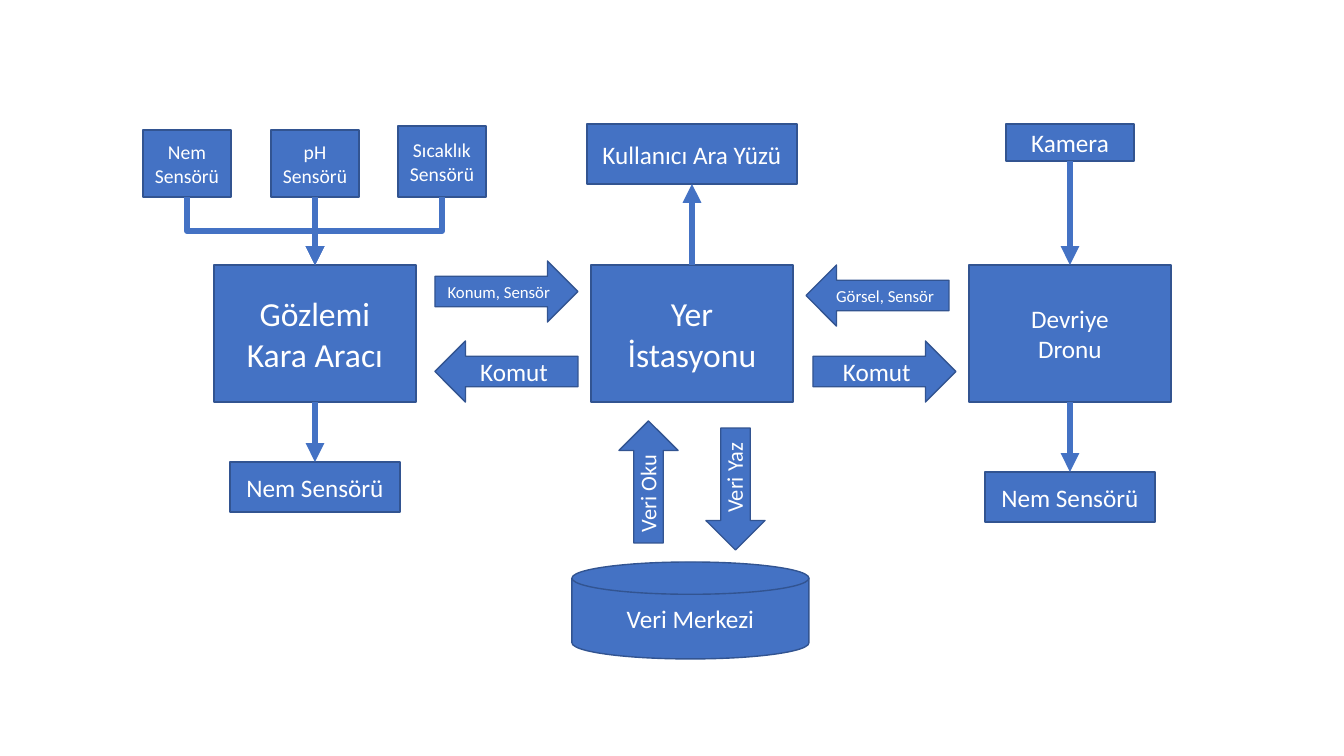
from lxml.etree import SubElement
from pptx import Presentation
from pptx.dml.color import RGBColor
from pptx.enum.shapes import MSO_CONNECTOR, MSO_SHAPE
from pptx.enum.text import MSO_ANCHOR, PP_ALIGN
from pptx.oxml.ns import qn
from pptx.util import Pt

PX = 914400 / 100.8
SLIDE = (1344, 756)
COLORS = {"fill": "4472C4", "outline": "325491", "text": "FFFFFF"}
FONT = "Calibri"
TOP, LEFT, BOTTOM, RIGHT = range(4)

BOXES = {
    "station": ("Yer\nİstasyonu", 24, (591, 265, 202, 137)),
    "rover": ("Gözlemi\nKara Aracı", 24, (214, 265, 202, 137)),
    "drone": ("Devriye\nDronu", 18, (969, 265, 202, 137)),
    "rover_moisture": ("Nem Sensörü", 18, (230, 462, 170, 50)),
    "camera": ("Kamera", 18, (1006, 124, 128, 37)),
    "drone_moisture": ("Nem Sensörü", 18, (985, 472, 170, 50)),
    "ph": ("pH Sensörü", 14, (271, 130, 88, 67)),
    "moisture": ("Nem Sensörü", 14, (143, 130, 88, 67)),
    "temperature": ("Sıcaklık Sensörü", 14, (398, 126, 88, 71)),
    "interface": ("Kullanıcı Ara Yüzü", 18, (587, 124, 210, 60)),
}
STRAIGHT_LINKS = [
    ("ph", BOTTOM, "rover", TOP),
    ("station", TOP, "interface", BOTTOM),
    ("camera", BOTTOM, "drone", TOP),
    ("drone", BOTTOM, "drone_moisture", TOP),
    ("rover", BOTTOM, "rover_moisture", TOP),
]
ELBOW_LINKS = [("moisture", "rover"), ("temperature", "rover")]
BLOCKS = [
    (MSO_SHAPE.RIGHT_ARROW, "Konum, Sensör", 12, (435, 261, 143, 61), 0),
    (MSO_SHAPE.LEFT_ARROW, "Komut", 18, (435, 341, 143, 61), 0),
    (MSO_SHAPE.LEFT_ARROW, "Görsel, Sensör", 12, (806, 265, 143, 61), 0),
    (MSO_SHAPE.RIGHT_ARROW, "Komut", 18, (813, 341, 143, 61), 0),
    (MSO_SHAPE.FLOWCHART_MAGNETIC_DISK, "Veri Merkezi", 18, (572, 562, 237, 97), 0),
    (MSO_SHAPE.UP_ARROW, "", 16, (619, 421, 59, 122), 0),
    (MSO_SHAPE.UP_ARROW, "", 16, (706, 428, 59, 122), 180),
]
LABELS = [
    ("Veri Oku", 16, (595, 471, 105, 37)),
    ("Veri Yaz", 16, (685, 455, 98, 37)),
]


def emu(*lengths):
    return [round(length * PX) for length in lengths]


def color(name):
    return RGBColor.from_string(COLORS[name])


def write(shape, text, size, align):
    frame = shape.text_frame
    frame.word_wrap = True
    frame.text = text
    for para in frame.paragraphs:
        para.alignment = align
        for span in para.runs:
            for key, value in {"name": FONT, "size": Pt(size)}.items():
                setattr(span.font, key, value)
            span.font.color.rgb = color("text")


def add_block(page, kind, text, size, bounds, rotation=0):
    shape = page.shapes.add_shape(kind, *emu(*bounds))
    shape.rotation = rotation
    shape.shadow.inherit = False
    shape.fill.solid()
    shape.fill.fore_color.rgb = color("fill")
    shape.line.color.rgb = color("outline")
    shape.line.width = Pt(1)
    if text:
        write(shape, text, size, PP_ALIGN.CENTER)
        shape.text_frame.vertical_anchor = MSO_ANCHOR.MIDDLE
    return shape


def add_link(page, kind, ends):
    link = page.shapes.add_connector(kind, *emu(*ends))
    link.line.color.rgb = color("fill")
    link.line.width = Pt(4.5)
    SubElement(link.line._get_or_add_ln(), qn("a:tailEnd"), type="triangle")
    SubElement(link.element.spPr, qn("a:effectLst"))
    return link


def add_elbow(page, start, end):
    left, top, width, height = BOXES[start][2]
    start_x, start_y = left + width / 2, top + height
    left, top, width, height = BOXES[end][2]
    end_x, end_y = left + width / 2, top
    middle_x, middle_y = (start_x + end_x) / 2, (start_y + end_y) / 2
    half_drop, half_span = (end_y - start_y) / 2, abs(end_x - start_x) / 2
    side = 1 if start_x > end_x else -1
    link = add_link(page, MSO_CONNECTOR.ELBOW, (
        middle_x - side * half_drop, middle_y - half_span,
        middle_x + side * half_drop, middle_y + half_span,
    ))
    degrees = 90 if side > 0 else 270
    link.element.spPr.find(qn("a:xfrm")).set("rot", str(degrees * 60000))


def main():
    deck = Presentation()
    deck.slide_width, deck.slide_height = emu(*SLIDE)
    page = deck.slides.add_slide(deck.slide_layouts[6])
    boxes = {
        name: add_block(page, MSO_SHAPE.RECTANGLE, *content)
        for name, content in BOXES.items()
    }
    for start, end in ELBOW_LINKS:
        add_elbow(page, start, end)
    for start, start_side, end, end_side in STRAIGHT_LINKS:
        link = add_link(page, MSO_CONNECTOR.STRAIGHT, (0, 0, 0, 0))
        link.begin_connect(boxes[start], start_side)
        link.end_connect(boxes[end], end_side)
    for block in BLOCKS:
        add_block(page, *block)
    for text, size, bounds in LABELS:
        label = page.shapes.add_textbox(*emu(*bounds))
        label.rotation = 270
        write(label, text, size, PP_ALIGN.LEFT)
    deck.save("out.pptx")


if __name__ == "__main__":
    main()
